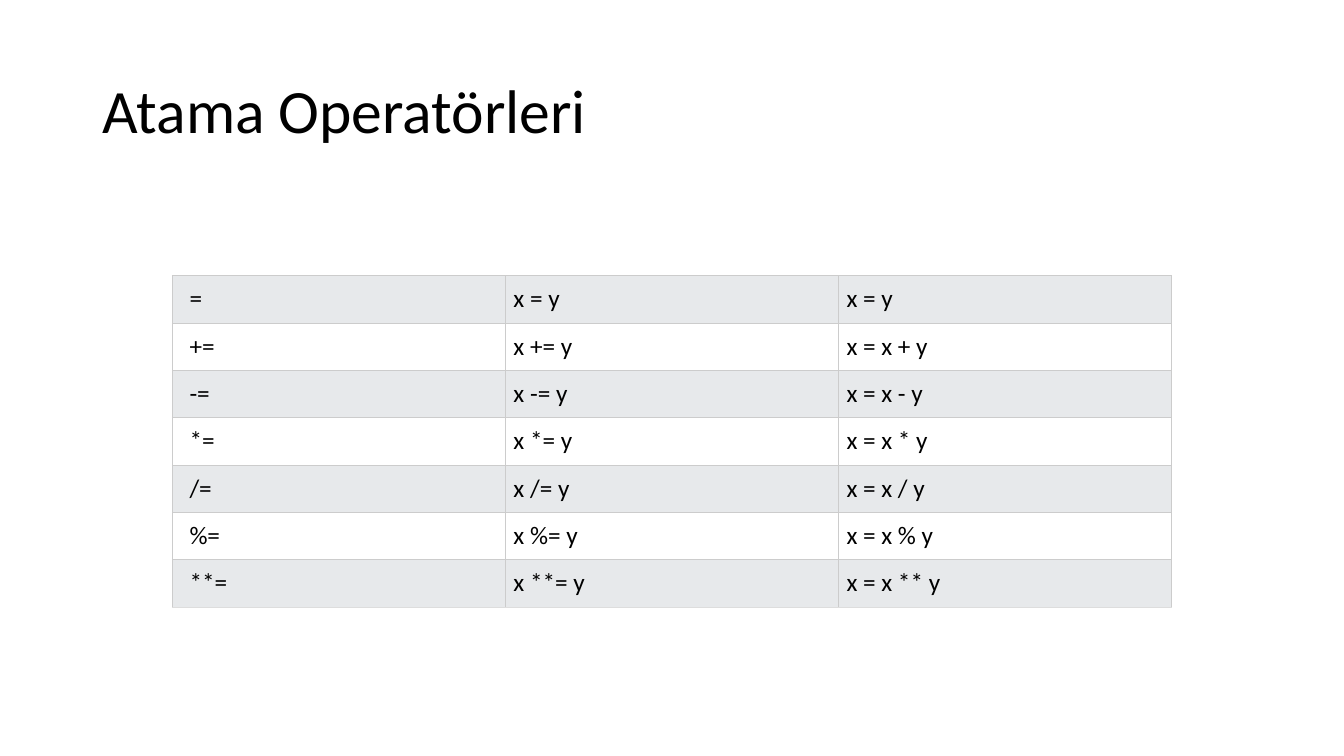
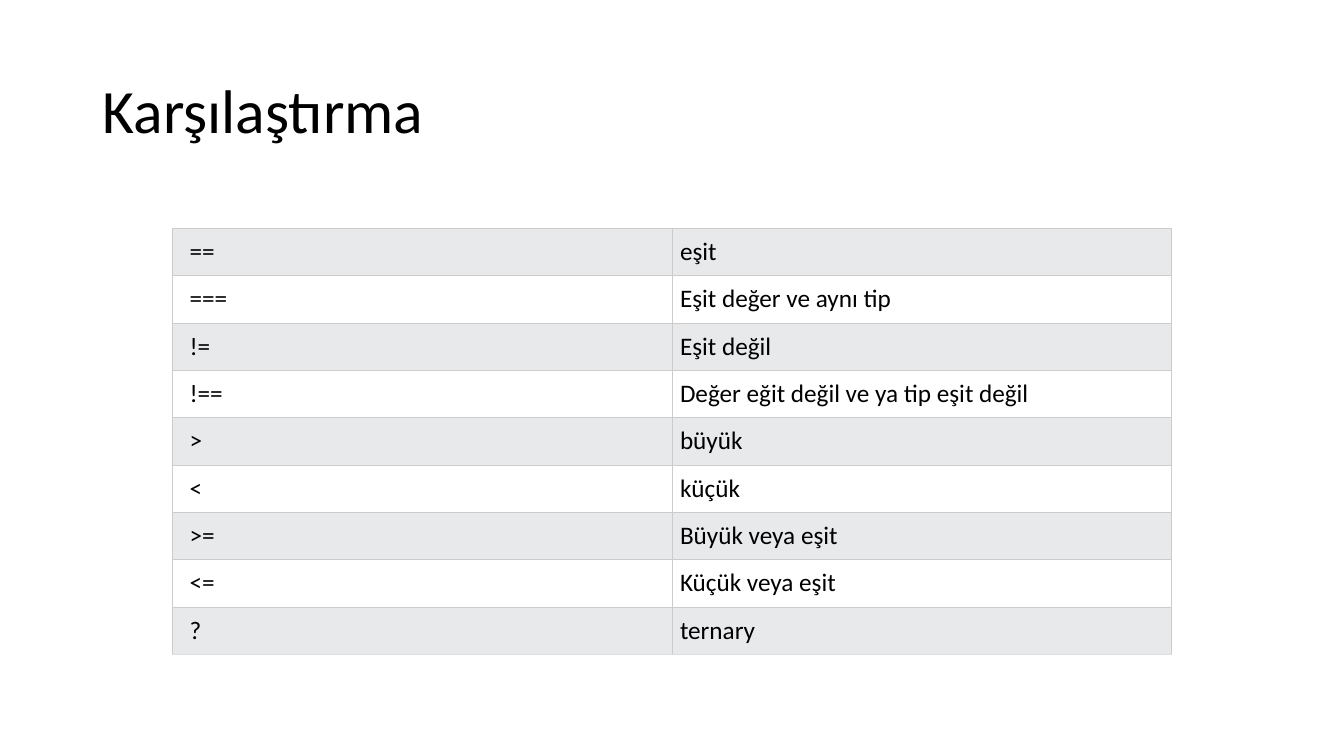
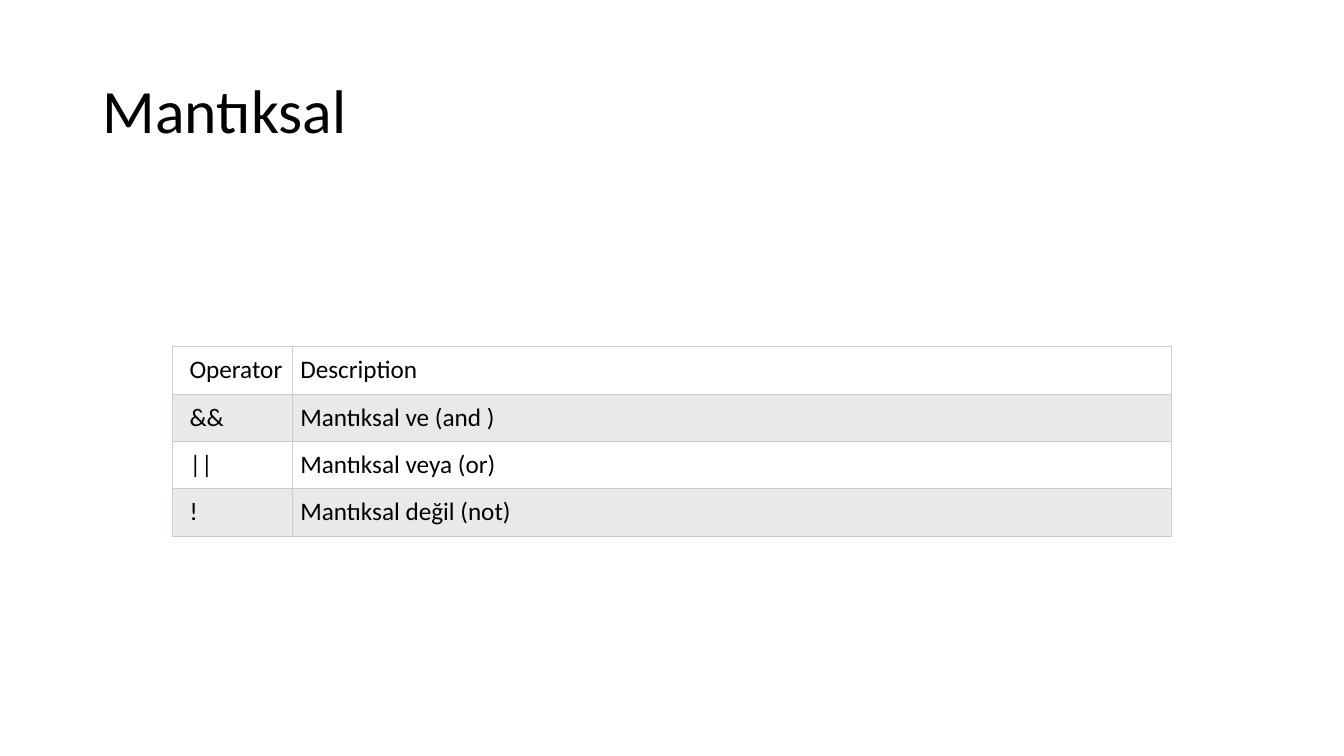
"""Build three slides of operator tables, each centred below its title."""
from lxml.etree import SubElement
from pptx import Presentation
from pptx.dml.color import RGBColor
from pptx.enum.text import MSO_ANCHOR
from pptx.oxml.ns import qn
from pptx.util import Inches, Pt

SLIDE_W, SLIDE_H = 13.33, 7.5
TITLE_LEFT, TITLE_TOP, TITLE_H = 0.92, 0.4, 1.45
TABLE_W, ROW_H, TABLE_MIDDLE = 9.91, 0.47, 4.38
TABLE_LEFT = (SLIDE_W - TABLE_W) / 2
BLACK, WHITE, BAND, GRID, GRID_END = "000000", "FFFFFF", "E7E9EB", "CCCCCC", "DDDDDD"
TITLE_FONT = {"name": "Calibri", "size": Pt(44)}
CELL_FONT = {"name": "Calibri", "size": Pt(18)}
CELL_INSETS = {"margin_right": Inches(0.08), "margin_top": Inches(0.08),
               "margin_bottom": Inches(0.08)}
PLAIN_TABLE = {"first_row": False, "horz_banding": False}

topics = [
    {"title": "Atama Operatörleri", "shares": [1 / 3] * 3,
     "bands": [BAND, WHITE], "end": GRID_END,
     "rows": [("=", "x = y", "x = y")]
     + [(f"{sign}=", f"x {sign}= y", f"x = x {sign} y")
        for sign in ("+", "-", "*", "/", "%", "**")]},
    {"title": "Karşılaştırma", "shares": [1 / 2] * 2,
     "bands": [BAND, WHITE], "end": GRID_END,
     "rows": [("==", "eşit"), ("===", "Eşit değer ve aynı tip"),
              ("!=", "Eşit değil"), ("!==", "Değer eğit değil ve ya tip eşit değil"),
              (">", "büyük"), ("<", "küçük"), (">=", "Büyük veya eşit"),
              ("<=", "Küçük veya eşit"), ("?", "ternary")]},
    {"title": "Mantıksal", "shares": [0.12, 0.88],
     "bands": [WHITE, BAND], "end": GRID,
     "rows": [("Operator", "Description"), ("&&", "Mantıksal ve (and )"),
              ("||", "Mantıksal veya (or)"), ("!", "Mantıksal değil (not)")]},
]


def colour(code):
    return RGBColor.from_string(code)


def write(frame, words, look):
    paragraph = frame.paragraphs[0]
    run = paragraph.add_run()
    run.text = words
    for key, value in look.items():
        setattr(run.font, key, value)
    run.font.color.rgb = colour(BLACK)
    return paragraph


deck = Presentation()
deck.slide_width, deck.slide_height = Inches(SLIDE_W), Inches(SLIDE_H)

for topic in topics:
    slide = deck.slides.add_slide(deck.slide_layouts[6])
    heading = slide.shapes.add_textbox(
        Inches(TITLE_LEFT), Inches(TITLE_TOP),
        Inches(SLIDE_W - 2 * TITLE_LEFT), Inches(TITLE_H)).text_frame
    heading.word_wrap = True
    heading.vertical_anchor = MSO_ANCHOR.MIDDLE
    write(heading, topic["title"], TITLE_FONT).line_spacing = 0.9

    rows = topic["rows"]
    table_h = ROW_H * len(rows)
    operators = slide.shapes.add_table(
        len(rows), len(topic["shares"]), Inches(TABLE_LEFT),
        Inches(TABLE_MIDDLE - table_h / 2), Inches(TABLE_W), Inches(table_h)).table
    for key, value in PLAIN_TABLE.items():
        setattr(operators, key, value)
    for column, share in zip(operators.columns, topic["shares"]):
        column.width = Inches(TABLE_W * share)

    for r, row in enumerate(rows):
        bottom = topic["end"] if r == len(rows) - 1 else GRID
        edges = {"a:lnL": GRID, "a:lnR": GRID, "a:lnT": GRID, "a:lnB": bottom}
        for c, words in enumerate(row):
            cell = operators.cell(r, c)
            write(cell.text_frame, words, CELL_FONT)
            for key, value in CELL_INSETS.items():
                setattr(cell, key, value)
            cell.margin_left = Inches(0.08 if c else 0.17)
            properties = cell._tc.get_or_add_tcPr()
            for edge, shade in edges.items():
                line = SubElement(properties, qn(edge), w=str(Pt(0.75)))
                ink = SubElement(line, qn("a:solidFill"))
                SubElement(ink, qn("a:srgbClr"), val=shade)
            cell.fill.solid()
            cell.fill.fore_color.rgb = colour(topic["bands"][r % 2])

deck.save("out.pptx")
